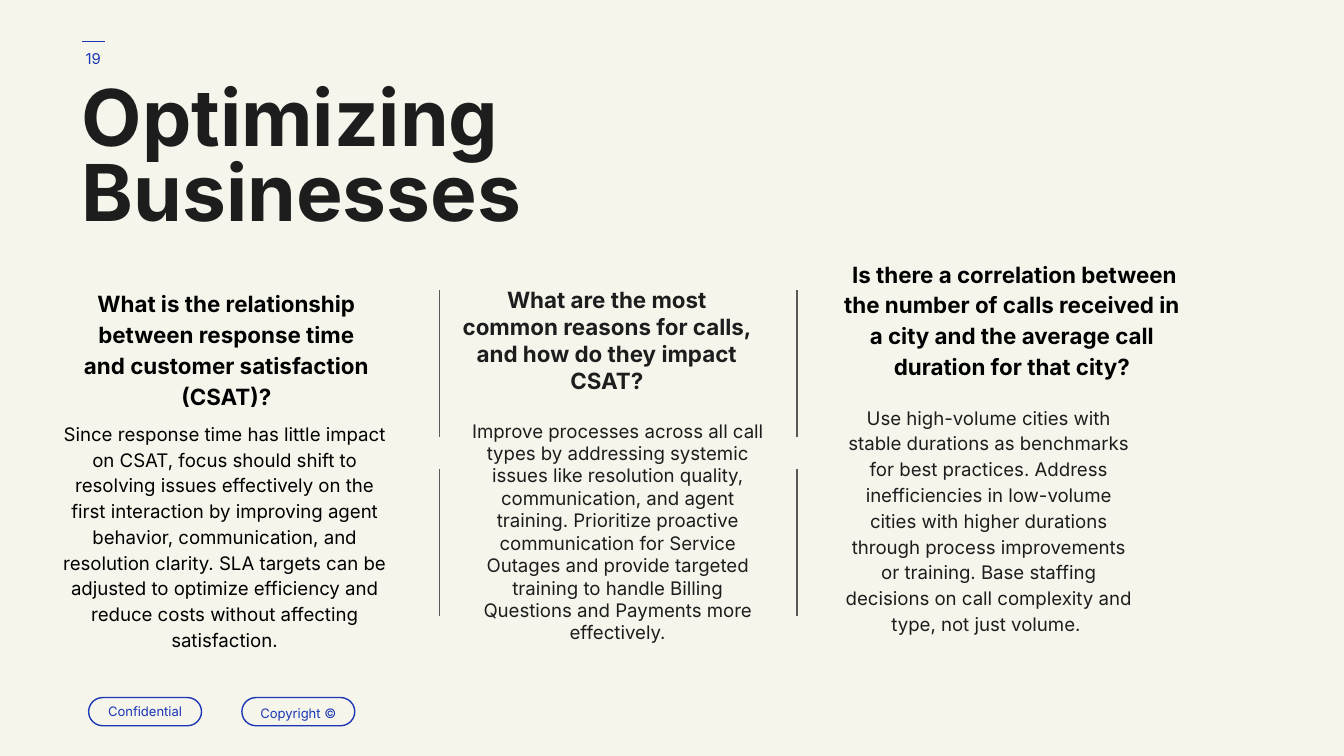
from typing import NamedTuple

from lxml import etree
from pptx import Presentation
from pptx.dml.color import RGBColor
from pptx.enum.shapes import MSO_CONNECTOR, MSO_SHAPE
from pptx.enum.text import MSO_ANCHOR, PP_ALIGN
from pptx.oxml.ns import qn
from pptx.util import Inches, Pt

LEFT, CENTER = PP_ALIGN.LEFT, PP_ALIGN.CENTER
TOP, MIDDLE = MSO_ANCHOR.TOP, MSO_ANCHOR.MIDDLE
STRAIGHT = MSO_CONNECTOR.STRAIGHT
ROUNDED = MSO_SHAPE.ROUNDED_RECTANGLE

FONT = "Inter"
CREAM, BLUE, INK, BLACK, GRAY = "F6F5EC", "1A36B4", "1D1D1D", "000000", "595959"
LINE_WIDTH = Pt(0.75)


class Box(NamedTuple):
    left: float
    top: float
    width: float
    height: float

    def lengths(self) -> list:
        return [Inches(value) for value in self]


class Passage(NamedTuple):
    text: str
    box: Box
    color: str
    spacing: float


class Column(NamedTuple):
    question: Passage
    answer: Passage


COLUMNS = [
    Column(
        Passage("What is the relationship between response time and customer "
                "satisfaction (CSAT)?",
                Box(0.51, 2.03, 2.35, 0.4), BLACK, 1.15),
        Passage("Since response time has little impact on CSAT, focus should shift "
                "to resolving issues effectively on the first interaction by "
                "improving agent behavior, communication, and resolution clarity. "
                "SLA targets can be adjusted to optimize efficiency and reduce "
                "costs without affecting satisfaction.",
                Box(0.36, 3.02, 2.62, 0.78), BLACK, 1.15),
    ),
    Column(
        Passage("What are the most common reasons for calls, and how do they "
                "impact CSAT?",
                Box(3.34, 2.03, 2.35, 0.4), INK, 1.0),
        Passage("Improve processes across all call types by addressing systemic "
                "issues like resolution quality, communication, and agent "
                "training. Prioritize proactive communication for Service Outages "
                "and provide targeted training to handle Billing Questions and "
                "Payments more effectively.",
                Box(3.4, 3.02, 2.39, 0.78), INK, 1.0),
    ),
    Column(
        Passage(" Is there a correlation between the number of calls received in a "
                "city and the average call duration for that city?",
                Box(6.16, 1.81, 2.74, 0.4), BLACK, 1.15),
        Passage("Use high-volume cities with stable durations as benchmarks for "
                "best practices. Address inefficiencies in low-volume cities with "
                "higher durations through process improvements or training. Base "
                "staffing decisions on call complexity and type, not just volume. ",
                Box(6.16, 2.9, 2.39, 0.78), INK, 1.15),
    ),
]


def rgb(color: str) -> RGBColor:
    return RGBColor.from_string(color)


def write(shape, text: str, *, size: float, color: str, bold: bool = False,
          align=CENTER, anchor=TOP, spacing: float = 1.0) -> None:
    frame = shape.text_frame
    frame.word_wrap = True
    frame.vertical_anchor = anchor
    frame.margin_left = frame.margin_right = Inches(0.1)
    frame.margin_top = frame.margin_bottom = Inches(0.1)
    paragraph = frame.paragraphs[0]
    paragraph.alignment = align
    paragraph.line_spacing = spacing
    run = paragraph.add_run()
    run.text = text
    run.font.name = FONT
    run.font.size = Pt(size)
    run.font.bold = bold
    run.font.color.rgb = rgb(color)


def add_text(slide, text: str, box: Box, **text_format) -> None:
    write(slide.shapes.add_textbox(*box.lengths()), text, **text_format)


def add_line(slide, x1: float, y1: float, x2: float, y2: float, color: str) -> None:
    rule = slide.shapes.add_connector(
        STRAIGHT, Inches(x1), Inches(y1), Inches(x2), Inches(y2))
    rule.line.color.rgb = rgb(color)
    rule.line.width = LINE_WIDTH
    etree.SubElement(rule._element.spPr, qn("a:effectLst"))


def add_pill(slide, text: str, box: Box, spacing: float) -> None:
    pill = slide.shapes.add_shape(ROUNDED, *box.lengths())
    pill.adjustments[0] = 0.5
    pill.shadow.inherit = False
    pill.fill.background()
    pill.line.color.rgb = rgb(BLUE)
    pill.line.width = LINE_WIDTH
    write(pill, text, size=7, color=BLUE, anchor=MIDDLE, spacing=spacing)


def main() -> None:
    deck = Presentation()
    # Widescreen, 16 to 9
    deck.slide_width = Inches(10)
    deck.slide_height = Inches(10 * 9 / 16)
    slide = deck.slides.add_slide(deck.slide_layouts[6])
    slide.background.fill.solid()
    slide.background.fill.fore_color.rgb = rgb(CREAM)

    # Page number and footer pills
    add_line(slide, 0.78, 0.31, 0.61, 0.31, BLUE)
    add_pill(slide, "Confidential", Box(0.66, 5.19, 0.84, 0.21), 1.0)
    add_pill(slide, "Copyright ©", Box(1.8, 5.19, 0.84, 0.21), 1.15)
    add_text(slide, "19", Box(0.46, 0.22, 0.47, 0.43), size=8, color=BLUE,
             anchor=MIDDLE)

    # Title
    add_text(slide, "Optimizing Businesses", Box(0.51, 0.54, 4.83, 1.38),
             size=42, color=INK, bold=True, align=LEFT, spacing=0.8)

    # Dividers between the columns
    for x in (3.27, 5.93):
        for top in (2.16, 3.49):
            add_line(slide, x, top, x, top + 1.09, GRAY)

    # Questions and answers
    for column in COLUMNS:
        for passage, size, bold in ((column.question, 12, True),
                                    (column.answer, 10, False)):
            add_text(slide, passage.text, passage.box, size=size, bold=bold,
                     color=passage.color, spacing=passage.spacing)

    deck.save("out.pptx")


if __name__ == "__main__":
    main()
